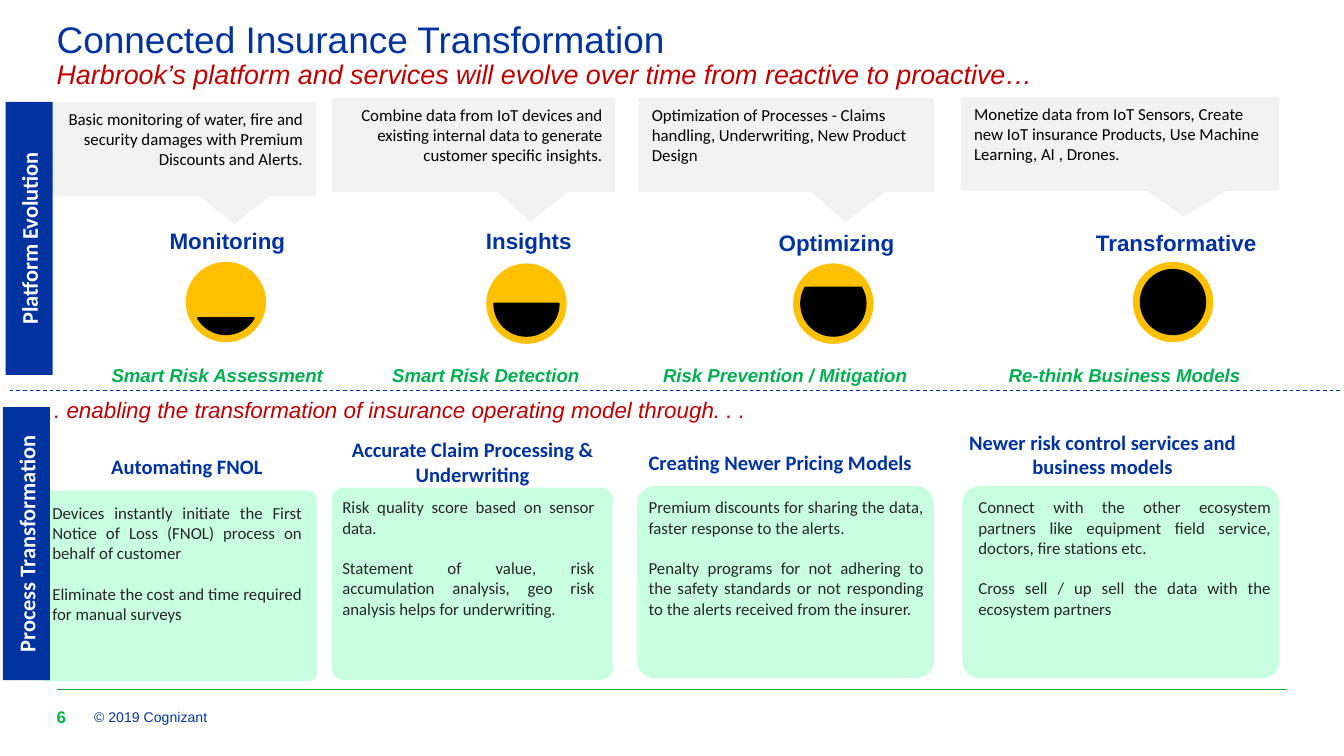
"""Build the connected insurance slide with four stages in two bands."""
from dataclasses import dataclass

from lxml.etree import SubElement
from pptx import Presentation
from pptx.dml.color import RGBColor as Rgb
from pptx.enum.dml import MSO_LINE as Dash
from pptx.enum.shapes import MSO_CONNECTOR as Link, MSO_SHAPE as Kind
from pptx.enum.text import MSO_ANCHOR as Anchor, PP_ALIGN as Align
from pptx.oxml.ns import qn
from pptx.util import Cm, Pt


@dataclass(frozen=True)
class Theme:
    blue: str = "0033A0"
    dash: str = "0033B4"
    red: str = "C00000"
    green: str = "00B050"
    rule: str = "00B140"
    mint: str = "C9FFE1"
    grey: str = "F2F2F2"
    gold: str = "FFC000"
    black: str = "000000"
    ink: str = "262626"
    white: str = "FFFFFF"
    title: float = 19.8
    lead: float = 14.4
    label: float = 12
    head: float = 11
    goal: float = 10
    body: float = 9
    foot: float = 7.5


look = Theme()
fonts = {
    "title": (look.blue, {"name": "Arial", "size": Pt(look.title), "bold": False}),
    "lead": (look.red, {"name": "Arial", "size": Pt(look.lead), "bold": False, "italic": True}),
    "link": (look.red, {"name": "Arial", "size": Pt(look.label), "italic": True}),
    "stage": (look.blue, {"name": "Arial", "size": Pt(look.label), "bold": True}),
    "goal": (look.green, {"name": "Arial", "size": Pt(look.goal), "bold": True, "italic": True}),
    "call": (look.black, {"name": "Calibri", "size": Pt(look.body)}),
    "body": (look.ink, {"name": "Calibri", "size": Pt(look.body)}),
    "head": (look.blue, {"name": "Calibri", "size": Pt(look.head), "bold": True}),
    "band": (look.white, {"name": "Calibri", "size": Pt(look.label), "bold": True}),
    "foot": (look.blue, {"name": "Arial", "size": Pt(look.foot)}),
    "page": (look.rule, {"name": "Arial", "size": Pt(look.body), "bold": True}),
}

deck = Presentation()
deck.slide_width, deck.slide_height = Cm(25.4), Cm(14.29)
slide = deck.slides.add_slide(deck.slide_layouts[5])
shapes = slide.shapes


def draw(kind, place, fill=None, adj=()):
    shape = shapes.add_shape(kind, *map(Cm, place))
    shape.shadow.inherit = False
    shape.line.fill.background()
    if fill:
        shape.fill.solid()
        shape.fill.fore_color.rgb = Rgb.from_string(fill)
    else:
        shape.fill.background()
    for i, part in enumerate(adj):
        shape.adjustments[i] = part
    return shape


def write(shape, style, lines, align=Align.LEFT, anchor=Anchor.TOP, pad=True, wrap=True):
    frame = shape.text_frame
    frame.word_wrap, frame.vertical_anchor = wrap, anchor
    if not pad:
        for side in ("left", "right", "top", "bottom"):
            setattr(frame, f"margin_{side}", 0)
    tint, form = fonts[style]
    for i, line in enumerate(lines):
        para = frame.add_paragraph() if i else frame.paragraphs[0]
        para.alignment = align
        if i:
            para.space_before = Pt(11)
        run = para.add_run()
        run.text = line
        run.font.color.rgb = Rgb.from_string(tint)
        for key, value in form.items():
            setattr(run.font, key, value)
    return frame.paragraphs[0]


title = shapes.title
for key, value in zip(("left", "top", "width", "height"), (1.07, 0.41, 23.29, 1.09)):
    setattr(title, key, Cm(value))
para = write(title, "title", ["Connected Insurance Transformation"], pad=False)
para.line_spacing = 0.9
para.add_line_break()
run = para.add_run()
run.text = "Harbrook’s platform and services will evolve over time from reactive to proactive…"
tint, form = fonts["lead"]
run.font.color.rgb = Rgb.from_string(tint)
for key, value in form.items():
    setattr(run.font, key, value)

for left, right, y, tint, dash in (
    (1.07, 24.33, 13.03, look.rule, None),
    (0.18, 25.32, 7.39, look.dash, Dash.DASH),
):
    line = shapes.add_connector(Link.STRAIGHT, Cm(left), Cm(y), Cm(right), Cm(y))
    line.line.color.rgb = Rgb.from_string(tint)
    line.line.width = Pt(0.5)
    line.line.dash_style = dash
    SubElement(line._element.spPr, qn("a:effectLst"))

for x, y, wide, high, bend in (
    (0.69, 9.27, 5.31, 3.61, 0.05),
    (6.27, 9.22, 5.31, 3.63, 0.06),
    (12.04, 9.19, 5.61, 3.63, 0.09),
    (18.19, 9.19, 5.99, 3.63, 0.09),
):
    draw(Kind.ROUNDED_RECTANGLE, (x, y, wide, high), look.mint, [bend])

for x, y, start, end in (
    (3.51, 4.95, 18, 90),
    (9.19, 4.98, 0, 108),
    (14.99, 4.98, 198, 126),
    (21.41, 4.95, 162, 162),
):
    draw(Kind.OVAL, (x, y, 1.52, 1.52), look.gold)
    level = draw(Kind.CHORD, (x + 0.15, y + 0.15, 1.22, 1.22), look.black, (start, end))
    level.line.color.rgb = Rgb.from_string(look.black)
    level.line.width = Pt(1)

for x, y, wide, tip, align, text in (
    (0.69, 1.93, 5.28, (0.21, 0.8), Align.RIGHT,
     "Basic monitoring of water, fire and security damages with Premium Discounts and Alerts."),
    (6.27, 1.85, 5.36, (0.2, 0.82), Align.RIGHT,
     "Combine data from IoT devices and existing internal data to generate customer specific insights."),
    (12.07, 1.85, 5.59, (0.2, 0.82), Align.LEFT,
     "Optimization of Processes - Claims handling, Underwriting, New Product Design"),
    (18.16, 1.83, 6.02, (0.2, 0.77), Align.LEFT,
     "Monetize data from IoT Sensors, Create new IoT insurance Products, Use Machine Learning, AI , Drones."),
):
    call = draw(Kind.RECTANGULAR_CALLOUT, (x, y, wide, 1.78), look.grey, tip)
    write(call, "call", [text], align)

for style, x, y, wide, high, text in (
    ("stage", 3.13, 4.29, 2.34, 0.51, "Monitoring"),
    ("stage", 9.12, 4.29, 1.75, 0.51, "Insights"),
    ("stage", 14.64, 4.34, 2.34, 0.51, "Optimizing"),
    ("stage", 20.64, 4.34, 3.18, 0.51, "Transformative"),
    ("goal", 1.78, 6.88, 4.65, 0.43, "Smart Risk Assessment"),
    ("goal", 7.21, 6.88, 3.94, 0.43, "Smart Risk Detection"),
    ("goal", 12.37, 6.88, 4.93, 0.43, "Risk Prevention / Mitigation"),
    ("goal", 18.75, 6.88, 5, 0.43, "Re-think Business Models"),
):
    box = shapes.add_textbox(Cm(x), Cm(y), Cm(wide), Cm(high))
    write(box, style, [text], Align.CENTER, pad=False, wrap=style == "goal")

for x, y, wide, high, lines in (
    (0.74, 9.37, 5.21, 2.57,
     ["Devices instantly initiate the First Notice of Loss (FNOL) process on behalf of customer",
      "Eliminate the cost and time required for manual surveys"]),
    (6.22, 9.27, 5.26, 2.57,
     ["Risk quality score based on sensor data.",
      "Statement of value, risk accumulation analysis, geo risk analysis helps for underwriting."]),
    (12.01, 9.27, 5.69, 2.95,
     ["Premium discounts for sharing the data, faster response to the alerts.",
      "Penalty programs for not adhering to the safety standards or not responding to the alerts "
      "received from the insurer."]),
    (18.24, 9.27, 6.02, 2.57,
     ["Connect with the other ecosystem partners like equipment field service, doctors, fire stations etc.",
      "Cross sell / up sell the data with the ecosystem partners"]),
):
    box = shapes.add_textbox(Cm(x), Cm(y), Cm(wide), Cm(high))
    write(box, "body", lines, Align.JUSTIFY)

for x, y, wide, fill, text in (
    (0.74, 8.41, 5.59, look.white, "Automating FNOL"),
    (5.99, 8.33, 5.89, None, "Accurate Claim Processing & Underwriting"),
    (11.84, 8.33, 5.82, None, "Creating Newer Pricing Models"),
    (17.83, 8.18, 6.02, None, "Newer risk control services and business models"),
):
    head = draw(Kind.ROUNDED_RECTANGLE, (x, y, wide, 0.81), fill)
    write(head, "head", [text], Align.CENTER, Anchor.MIDDLE)

for style, x, y, wide, high, anchor, text in (
    ("link", 0.79, 7.54, 15.6, 0.56, Anchor.TOP,
     ". . enabling the transformation of insurance operating model through. . ."),
    ("foot", 1.78, 13.34, 12.7, 0.43, Anchor.MIDDLE, "© 2019 Cognizant"),
    ("page", 1.07, 13.34, 0.64, 0.43, Anchor.MIDDLE, "6"),
):
    box = shapes.add_textbox(Cm(x), Cm(y), Cm(wide), Cm(high))
    para = write(box, style, [text], anchor=anchor, pad=False)
    para.line_spacing = 0.9 if style == "link" else 1

for x, y, text in ((-2.03, 4.06, "Platform Evolution"), (-2.08, 9.83, "Process Transformation")):
    band = draw(Kind.RECTANGLE, (x, y, 5.16, 0.89), look.blue)
    band.rotation = 270
    write(band, "band", [text], Align.CENTER, Anchor.MIDDLE)

deck.save("out.pptx")
